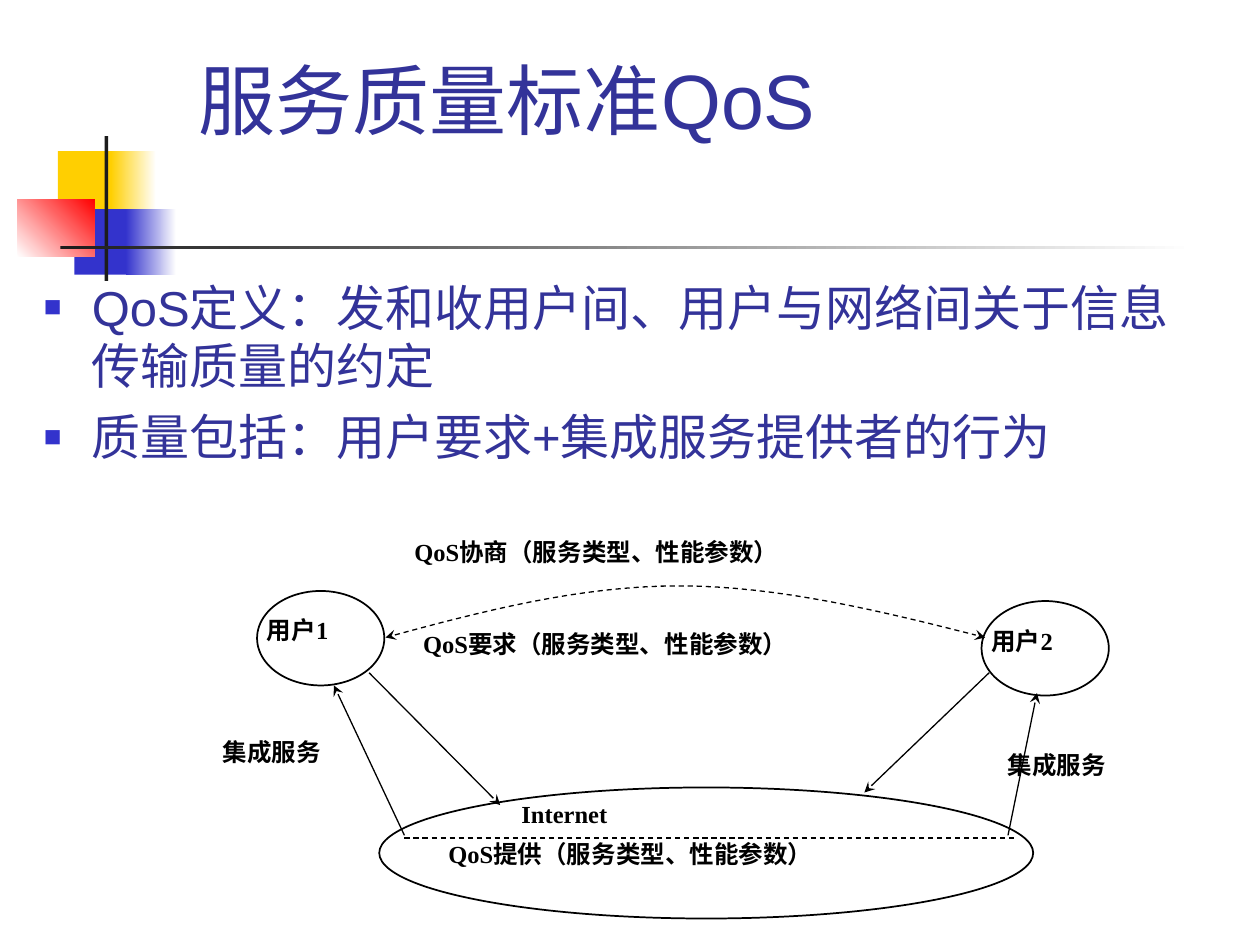
"""Build the QoS service quality slide."""
from lxml import etree
from pptx import Presentation
from pptx import util as u
from pptx.dml import color as dc
from pptx.enum import dml, shapes, text
from pptx.oxml import ns

HUES = {"gold": "FFCF01", "blue": "3333CC", "red": "FF0000", "dark": "1C1C1C",
        "white": "FFFFFF", "ink": "333399", "black": "000000"}
TITLE = {"size": u.Pt(44), "name": "Arial"}
BODY = {"size": u.Pt(28), "name": "Arial"}
LABEL = {"size": u.Pt(14), "name": "Times New Roman", "bold": True}


def hue(name):
    """Return a named colour."""
    return dc.RGBColor.from_string(HUES[name])


def child(node, tag, **attrs):
    """Append an XML element to a node."""
    return etree.SubElement(node, ns.qn(tag), attrs)


def block(slide, box, tone, end=None, angle=0):
    """Draw a rectangle, plain or fading to an end colour."""
    rect = slide.shapes.add_shape(shapes.MSO_SHAPE.RECTANGLE, *map(u.Inches, box))
    rect.shadow.inherit = False
    rect.line.fill.background()
    if end is None:
        rect.fill.solid()
        rect.fill.fore_color.rgb = hue(tone)
        return
    rect.fill.gradient()
    rect.fill.gradient_angle = angle
    for stop, name in zip(rect.fill.gradient_stops, (tone, end)):
        stop.color.rgb = hue(name)


def words(slide, box, lines, form, tone="black", anchor="TOP", align="LEFT", bullet=False):
    """Write paragraphs in a text box."""
    frame = slide.shapes.add_textbox(*map(u.Inches, box)).text_frame
    frame.word_wrap = True
    frame.vertical_anchor = text.MSO_ANCHOR[anchor]
    for num, line in enumerate(lines):
        para = frame.add_paragraph() if num else frame.paragraphs[0]
        para.text = line
        para.alignment = text.PP_ALIGN[align]
        if bullet:
            mark(para)
            para.space_before = u.Pt(7 if num else 0)
        for key, val in form.items():
            setattr(para.font, key, val)
        para.font.color.rgb = hue(tone)


def mark(para):
    """Give a paragraph a hanging square bullet."""
    props = para._p.get_or_add_pPr()
    props.set("marL", str(u.Inches(0.38)))
    props.set("indent", str(-u.Inches(0.38)))
    child(child(props, "a:buClr"), "a:srgbClr", val=HUES["blue"])
    child(props, "a:buSzPct", val="60000")
    child(props, "a:buFont", typeface="Arial")
    child(props, "a:buChar", char="■")


def stroke(shape, width, dash=False, ends=()):
    """Set the outline, dash and arrowheads of a shape."""
    shape.line.color.rgb = hue("black")
    shape.line.width = u.Pt(width)
    if dash:
        shape.line.dash_style = dml.MSO_LINE.DASH
    for end in ends:
        child(shape.line._get_or_add_ln(), end, type="stealth")


def oval(slide, box):
    """Draw an unfilled ellipse."""
    ring = slide.shapes.add_shape(shapes.MSO_SHAPE.OVAL, *map(u.Inches, box))
    ring.shadow.inherit = False
    ring.fill.background()
    stroke(ring, 1)


def link(slide, start, stop, dash=False, ends=("a:tailEnd",)):
    """Draw a straight line or arrow."""
    line = slide.shapes.add_connector(shapes.MSO_CONNECTOR.STRAIGHT,
                                      *map(u.Inches, start + stop))
    stroke(line, 0.75, dash, ends)
    child(line._element.spPr, "a:effectLst")


def bend(a, b, c, d, t):
    """Return a point on a cubic curve."""
    s = 1 - t
    return tuple(u.Inches(s**3 * p + 3 * s * s * t * q + 3 * s * t * t * r + t**3 * e)
                 for p, q, r, e in zip(a, b, c, d))


def arc(slide, curves, steps=16):
    """Draw a dashed curve with an arrowhead at each end."""
    dots = [bend(*curve, n / steps) for curve in curves for n in range(1, steps + 1)]
    path = slide.shapes.build_freeform(*map(u.Inches, curves[0][0]))
    path.add_line_segments(dots, close=False)
    shape = path.convert_to_shape()
    shape.shadow.inherit = False
    shape.fill.background()
    stroke(shape, 0.75, True, ("a:headEnd", "a:tailEnd"))


def decor(slide):
    """Draw the corner blocks and rules."""
    block(slide, (0.46, 1.2, 0.48, 0.52), "gold")
    block(slide, (0.88, 1.2, 0.36, 0.52), "gold", "white")
    block(slide, (0.59, 1.66, 0.46, 0.52), "blue")
    block(slide, (1, 1.66, 0.4, 0.52), "blue", "white")
    block(slide, (0.14, 1.58, 0.61, 0.46), "white", "red", 45)
    block(slide, (0.83, 1.08, 0.03, 1.15), "dark")
    block(slide, (0.48, 1.95, 9, 0.03), "dark", "white")


def chart(slide):
    """Draw the diagram of users and network."""
    for box in ((2.04, 4.69, 1.01, 0.75), (7.79, 4.77, 1.01, 0.75), (3.01, 6.25, 5.19, 1.04)):
        oval(slide, box)
    kinds = "（服务类型、性能参数）"
    for left, top, wide, line in (
            (3.19, 4.21, 4.56, "QoS协商" + kinds), (3.26, 4.94, 4.56, "QoS要求" + kinds),
            (3.46, 6.61, 4.56, "QoS提供" + kinds), (4.04, 6.29, 3.07, "Internet"),
            (2.02, 4.83, 1.14, "用户1"), (7.77, 4.92, 1.14, "用户2"),
            (1.67, 5.8, 1.52, "集成服务"), (7.9, 5.9, 1.52, "集成服务")):
        words(slide, (left, top, wide, 0.47), [line], LABEL, align="JUSTIFY")
    arc(slide, [((3.06, 5.06), (3.83, 4.85), (4.6, 4.65), (5.39, 4.65)),
                ((5.39, 4.65), (6.18, 4.65), (7, 4.85), (7.82, 5.06))])
    for start, stop in (((2.93, 5.34), (3.97, 6.39)), ((7.85, 5.34), (6.86, 6.29)),
                        ((8, 6.63), (8.23, 5.5)), ((3.21, 6.63), (2.65, 5.44))):
        link(slide, start, stop)
    link(slide, (3.21, 6.65), (8.05, 6.65), True, ())


def main():
    """Build and save the slide."""
    deck = Presentation()
    deck.slide_width, deck.slide_height = u.Inches(10), u.Inches(7.5)
    slide = deck.slides.add_slide(deck.slide_layouts[6])
    decor(slide)
    words(slide, (1.48, 0.36, 6.52, 0.84), ["服务质量标准QoS"], TITLE, "ink", "BOTTOM")
    words(slide, (0.25, 2.15, 9.42, 1.83),
          ["QoS定义：发和收用户间、用户与网络间关于信息传输质量的约定",
           "质量包括：用户要求+集成服务提供者的行为"], BODY, "ink", bullet=True)
    chart(slide)
    deck.save("out.pptx")


if __name__ == "__main__":
    main()
